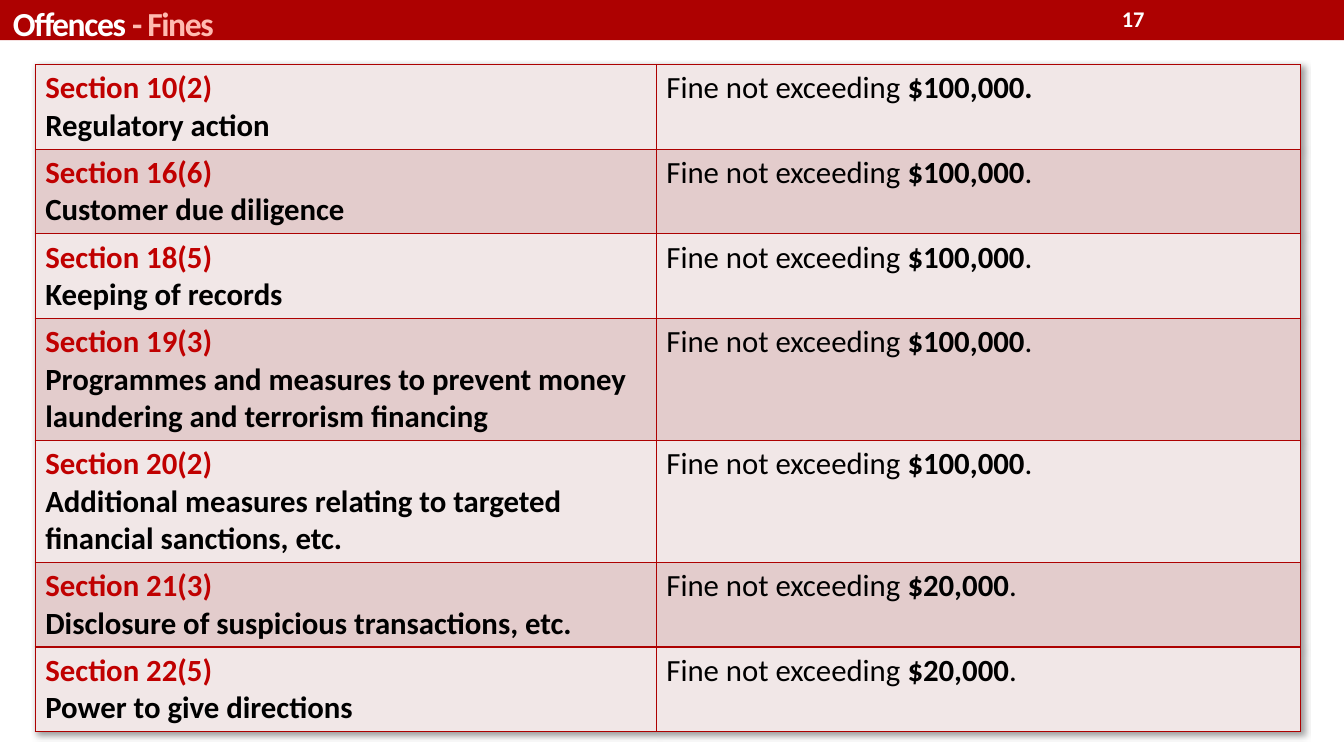
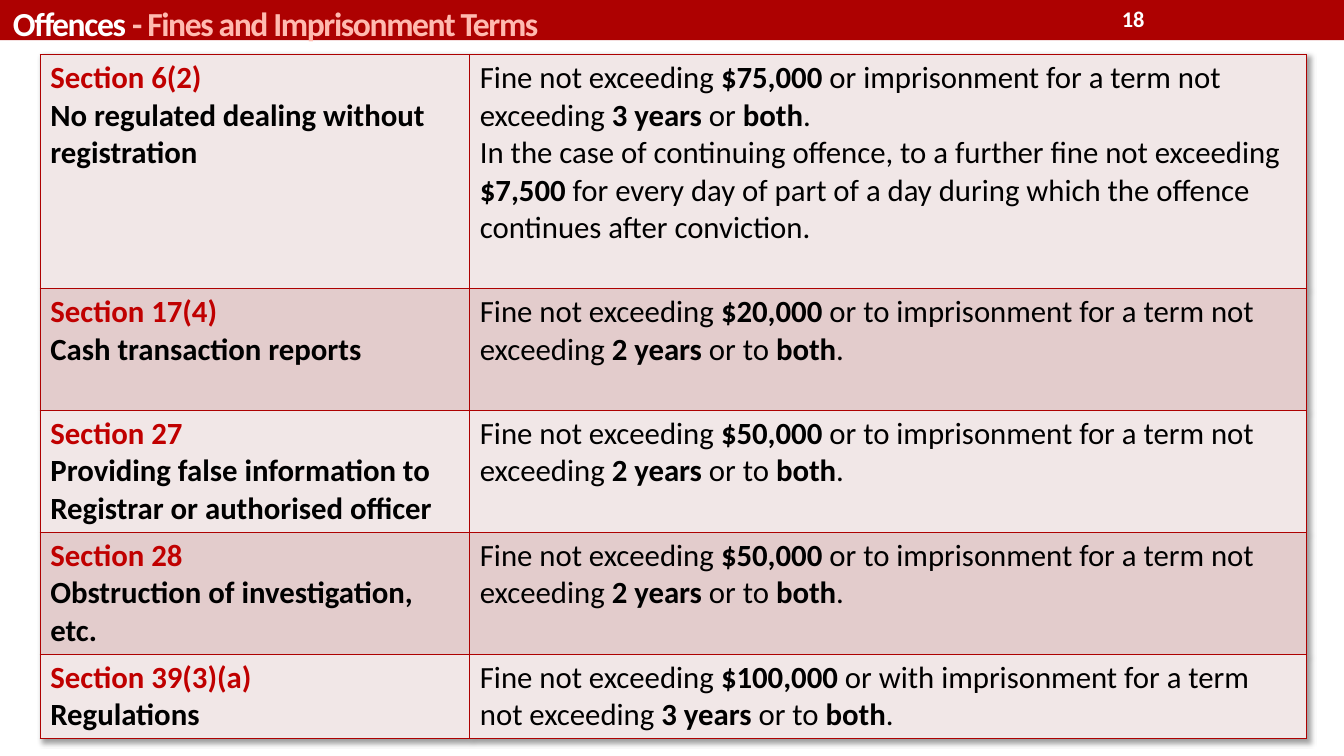
from lxml import etree
from pptx import Presentation
from pptx.dml.color import RGBColor
from pptx.enum import shapes, text
from pptx.oxml import ns
from pptx.util import Inches, Pt

BAND_RED = RGBColor(0xAD, 0x01, 0x01)
SECTION_RED = RGBColor(0xC0, 0x00, 0x00)
SUBTITLE_PINK = RGBColor(0xFF, 0xBA, 0xB0)
ROW_FILLS = (RGBColor(0xF1, 0xE7, 0xE7), RGBColor(0xE3, 0xCC, 0xCC))
WHITE = RGBColor(0xFF, 0xFF, 0xFF)
BLACK = RGBColor(0x00, 0x00, 0x00)
FONT = "Calibri"
BAND_HEIGHT = 0.4
LINE_HEIGHT = 0.37
CELL_PADDING = 0.1
BOLD_MARK = "**"

FINE_100 = ["Fine not exceeding **$100,000**."]
FINE_20 = ["Fine not exceeding **$20,000**."]
TERM = "Fine not exceeding **{}** or to imprisonment for a term not exceeding **2 years** or to **both**."

SLIDES = [
    {
        "subtitle": "- Fines",
        "number": "17",
        "origin": (0.35, 0.64),
        "columns": (6.16, 6.39),
        "rows": [
            ("Section 10(2)", "Regulatory action", ["Fine not exceeding **$100,000.**"], 2),
            ("Section 16(6)", "Customer due diligence", FINE_100, 2),
            ("Section 18(5)", "Keeping of records", FINE_100, 2),
            ("Section 19(3)",
             "Programmes and measures to prevent money laundering and terrorism financing",
             FINE_100, 3),
            ("Section 20(2)",
             "Additional measures relating to targeted financial sanctions, etc.",
             FINE_100, 3),
            ("Section 21(3)", "Disclosure of suspicious transactions, etc.", FINE_20, 2),
            ("Section 22(5)", "Power to give directions", FINE_20, 2),
        ],
    },
    {
        "subtitle": "- Fines and Imprisonment Terms",
        "number": "18",
        "origin": (0.4, 0.54),
        "columns": (4.26, 8.3),
        "rows": [
            ("Section 6(2)", "No regulated dealing without registration", [
                "Fine not exceeding **$75,000** or imprisonment for a term not exceeding "
                "**3 years** or **both**.",
                "In the case of continuing offence, to a further fine not exceeding **$7,500** "
                "for every day of part of a day during which the offence continues after conviction.",
            ], 6),
            ("Section 17(4)", "Cash transaction reports", [TERM.format("$20,000")], 3),
            ("Section 27", "Providing false information to Registrar or authorised officer",
             [TERM.format("$50,000")], 3),
            ("Section 28", "Obstruction of investigation, etc.", [TERM.format("$50,000")], 3),
            ("Section 39(3)(a)", "Regulations", [
                "Fine not exceeding **$100,000** or with imprisonment for a term not exceeding "
                "**3 years** or to **both**.",
            ], 2),
        ],
    },
]


def add_run(paragraph, words, size, color, bold=True):
    run = paragraph.add_run()
    run.text = words
    run.font.name = FONT
    run.font.size = Pt(size)
    run.font.bold = bold
    run.font.color.rgb = color
    return run


def add_label(slide, left, width, height, alignment):
    frame = slide.shapes.add_textbox(
        Inches(left), 0, Inches(width), Inches(height)).text_frame
    frame.word_wrap = True
    frame.vertical_anchor = text.MSO_ANCHOR.MIDDLE
    frame.paragraphs[0].alignment = alignment
    return frame


def add_header(slide, subtitle, number):
    band = slide.shapes.add_shape(
        shapes.MSO_SHAPE.RECTANGLE, 0, 0, Inches(13.33), Inches(BAND_HEIGHT))
    band.shadow.inherit = False
    band.fill.solid()
    band.fill.fore_color.rgb = BAND_RED
    band.line.fill.background()

    title = add_label(slide, 0.03, 7.41, BAND_HEIGHT, text.PP_ALIGN.LEFT)
    title.margin_bottom = 0
    for words, color in (("Offences ", WHITE), (subtitle, SUBTITLE_PINK)):
        run = add_run(title.paragraphs[0], words, 24, color)
        run.font._element.set("spc", "-100")

    page = add_label(slide, 9.89, 1.56, 0.36, text.PP_ALIGN.RIGHT)
    add_run(page.paragraphs[0], number, 16, WHITE)


def add_borders(cell):
    properties = cell._tc.get_or_add_tcPr()
    for side in ("a:lnL", "a:lnR", "a:lnT", "a:lnB"):
        line = etree.SubElement(properties, ns.qn(side), w=str(Pt(1)))
        fill = etree.SubElement(line, ns.qn("a:solidFill"))
        etree.SubElement(fill, ns.qn("a:srgbClr"), val=str(BAND_RED))


def add_table_shadow(table):
    effects = etree.Element(ns.qn("a:effectLst"))
    shadow = etree.SubElement(
        effects, ns.qn("a:outerShdw"), blurRad=str(Pt(4)), dist=str(Pt(3)),
        dir="2700000", algn="tl", rotWithShape="0")
    color = etree.SubElement(shadow, ns.qn("a:srgbClr"), val=str(BLACK))
    etree.SubElement(color, ns.qn("a:alpha"), val="40000")
    table._tbl.tblPr.insert(0, effects)


def fill_offence(frame, section, offence):
    add_run(frame.paragraphs[0], section, 22, SECTION_RED)
    add_run(frame.add_paragraph(), offence, 22, BLACK)


def fill_penalty(frame, penalties):
    for index, penalty in enumerate(penalties):
        paragraph = frame.add_paragraph() if index else frame.paragraphs[0]
        for position, words in enumerate(penalty.split(BOLD_MARK)):
            if words:
                add_run(paragraph, words, 22, BLACK, bold=position % 2 == 1)


def add_offences(slide, origin, columns, rows):
    heights = [lines * LINE_HEIGHT + CELL_PADDING for *_, lines in rows]
    left, top = origin
    table = slide.shapes.add_table(
        len(rows), len(columns), Inches(left), Inches(top),
        Inches(sum(columns)), Inches(sum(heights))).table
    table.first_row = False
    table.horz_banding = False
    add_table_shadow(table)
    for column, width in zip(table.columns, columns):
        column.width = Inches(width)
    for index, (section, offence, penalties, _) in enumerate(rows):
        row = table.rows[index]
        row.height = Inches(heights[index])
        for cell in row.cells:
            add_borders(cell)
            cell.fill.solid()
            cell.fill.fore_color.rgb = ROW_FILLS[index % 2]
        fill_offence(row.cells[0].text_frame, section, offence)
        fill_penalty(row.cells[1].text_frame, penalties)


def main():
    presentation = Presentation()
    presentation.slide_width = Inches(13.33)
    presentation.slide_height = Inches(7.5)
    for content in SLIDES:
        slide = presentation.slides.add_slide(presentation.slide_layouts[6])
        add_header(slide, content["subtitle"], content["number"])
        add_offences(slide, content["origin"], content["columns"], content["rows"])
    presentation.save("out.pptx")


if __name__ == "__main__":
    main()
